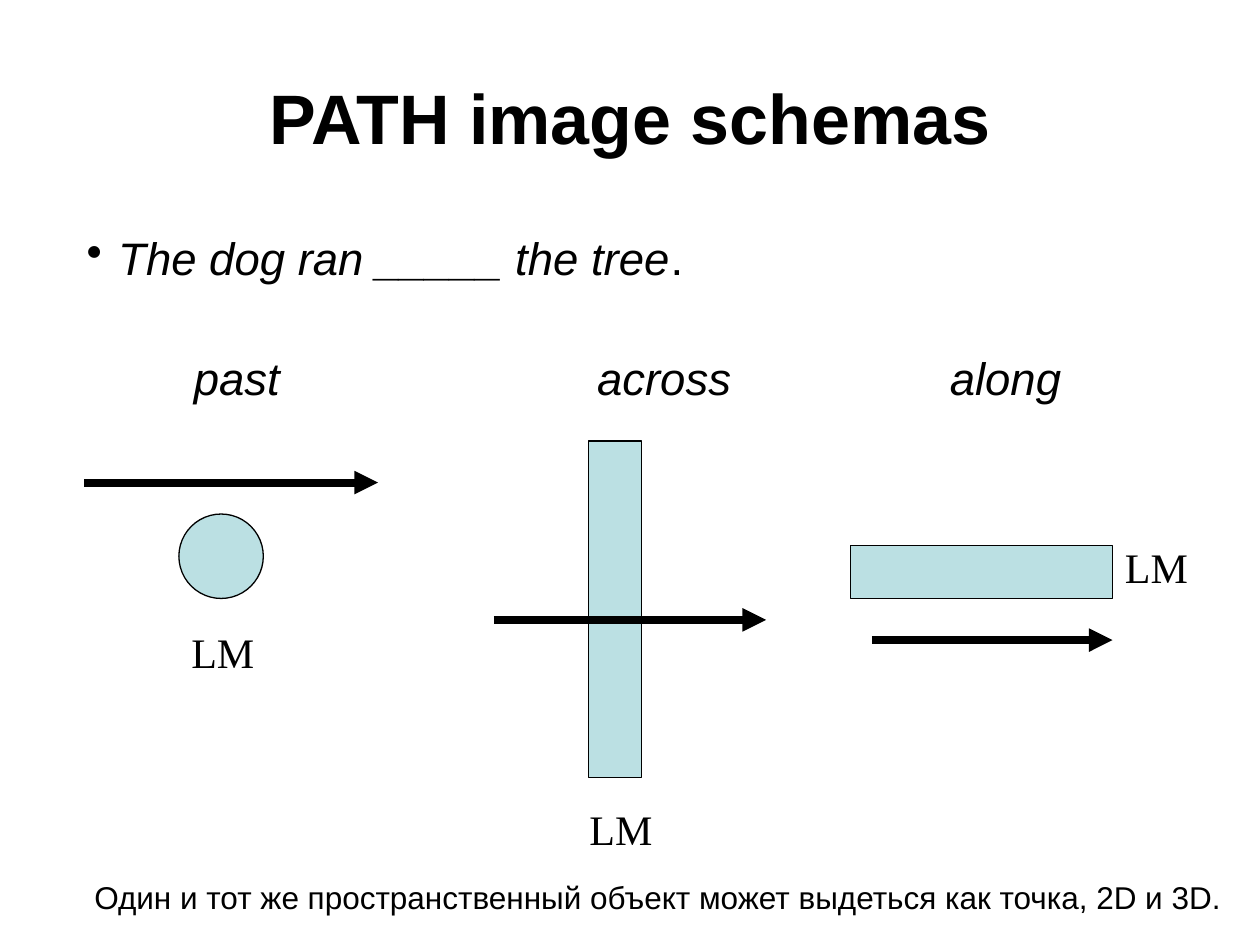
from lxml import etree
from pptx import Presentation
from pptx.dml.color import RGBColor
from pptx.enum.shapes import MSO_CONNECTOR, MSO_SHAPE
from pptx.enum.text import MSO_ANCHOR, PP_ALIGN
from pptx.oxml.ns import qn
from pptx.util import Inches, Pt

RECT, OVAL = MSO_SHAPE.RECTANGLE, MSO_SHAPE.OVAL
STRAIGHT = MSO_CONNECTOR.STRAIGHT
MIDDLE, CENTER = MSO_ANCHOR.MIDDLE, PP_ALIGN.CENTER
TITLE_ONLY = 5

BLACK, LANDMARK = "000000", "BBE0E3"
TITLE = dict(name="Arial", size=Pt(40), bold=True)
BODY = dict(name="Arial", size=Pt(26), italic=True)
LABEL = dict(name="Times New Roman", size=Pt(24))
NOTE = dict(name="Arial", size=Pt(18))


def rgb(color):
    return RGBColor.from_string(color)


def add_run(p, text, fmt):
    r = p.add_run()
    r.text = text
    for key, value in fmt.items():
        setattr(r.font, key, value)
    r.font.color.rgb = rgb(BLACK)


def add_text(s, box, text, fmt, wrap=True):
    tf = s.shapes.add_textbox(*map(Inches, box)).text_frame
    tf.word_wrap = wrap
    p = tf.paragraphs[0]
    add_run(p, text, fmt)
    return p


def add_bullet(p, indent):
    pPr = p._p.get_or_add_pPr()
    pPr.set("marL", str(Inches(indent)))
    pPr.set("indent", str(-Inches(indent)))
    color = etree.SubElement(pPr, qn("a:buClr"))
    etree.SubElement(color, qn("a:srgbClr"), val=BLACK)
    etree.SubElement(pPr, qn("a:buChar"), char="•")


def add_tabs(p, stops):
    tabs = etree.SubElement(p._p.get_or_add_pPr(), qn("a:tabLst"))
    for stop in stops:
        etree.SubElement(tabs, qn("a:tab"), pos=str(Inches(stop)), algn="l")


def add_landmark(s, kind, box):
    shape = s.shapes.add_shape(kind, *map(Inches, box))
    shape.shadow.inherit = False
    shape.fill.solid()
    shape.fill.fore_color.rgb = rgb(LANDMARK)
    shape.line.color.rgb = rgb(BLACK)
    shape.line.width = Pt(0.75)


def add_arrow(s, x1, x2, y):
    arrow = s.shapes.add_connector(STRAIGHT, *map(Inches, (x1, y, x2, y)))
    arrow.line.color.rgb = rgb(BLACK)
    arrow.line.width = Pt(4.5)
    etree.SubElement(arrow.line._get_or_add_ln(), qn("a:tailEnd"), type="triangle")
    etree.SubElement(arrow._element.spPr, qn("a:effectLst"))


def add_title(s, text):
    title = s.shapes.title
    title.left, title.top, title.width, title.height = map(Inches, (0.5, 0.3, 9, 1.25))
    tf = title.text_frame
    tf.vertical_anchor = MIDDLE
    p = tf.paragraphs[0]
    p.alignment = CENTER
    add_run(p, text, TITLE)


def main():
    prs = Presentation()
    prs.slide_width, prs.slide_height = Inches(10), Inches(7.5)
    s = prs.slides.add_slide(prs.slide_layouts[TITLE_ONLY])
    add_title(s, "PATH image schemas")

    # Example sentence and the three prepositions
    p = add_text(s, (0.59, 1.78, 6.93, 0.54), "The dog ran _____ the tree", BODY)
    add_run(p, ".", {**BODY, "italic": False})
    add_bullet(p, 0.25)
    p = add_text(s, (0.67, 2.78, 8.5, 0.5), "\tpast\tacross\talong", BODY)
    p.line_spacing = 0.9
    add_tabs(p, (0.77, 3.97, 6.77))

    # One schema each: landmark, path arrow, label position
    schemas = [
        (OVAL, (1.42, 4.08, 0.67, 0.67), (0.67, 3, 3.83), (1.42, 4.92)),
        (RECT, (4.67, 3.5, 0.42, 2.67), (3.92, 6.08, 4.92), (4.58, 6.33)),
        (RECT, (6.75, 4.33, 2.08, 0.42), (6.92, 8.83, 5.08), (8.83, 4.25)),
    ]
    for kind, box, path, label in schemas:
        add_landmark(s, kind, box)
        add_arrow(s, *path)
        add_text(s, (*label, 0.75, 0.5), "LM", LABEL)

    # Closing remark
    add_text(s, (0.65, 6.92, 9.18, 0.4),
             "Один и тот же пространственный объект может выдеться как точка, 2D и 3D.",
             NOTE, wrap=False)
    prs.save("out.pptx")


if __name__ == "__main__":
    main()
